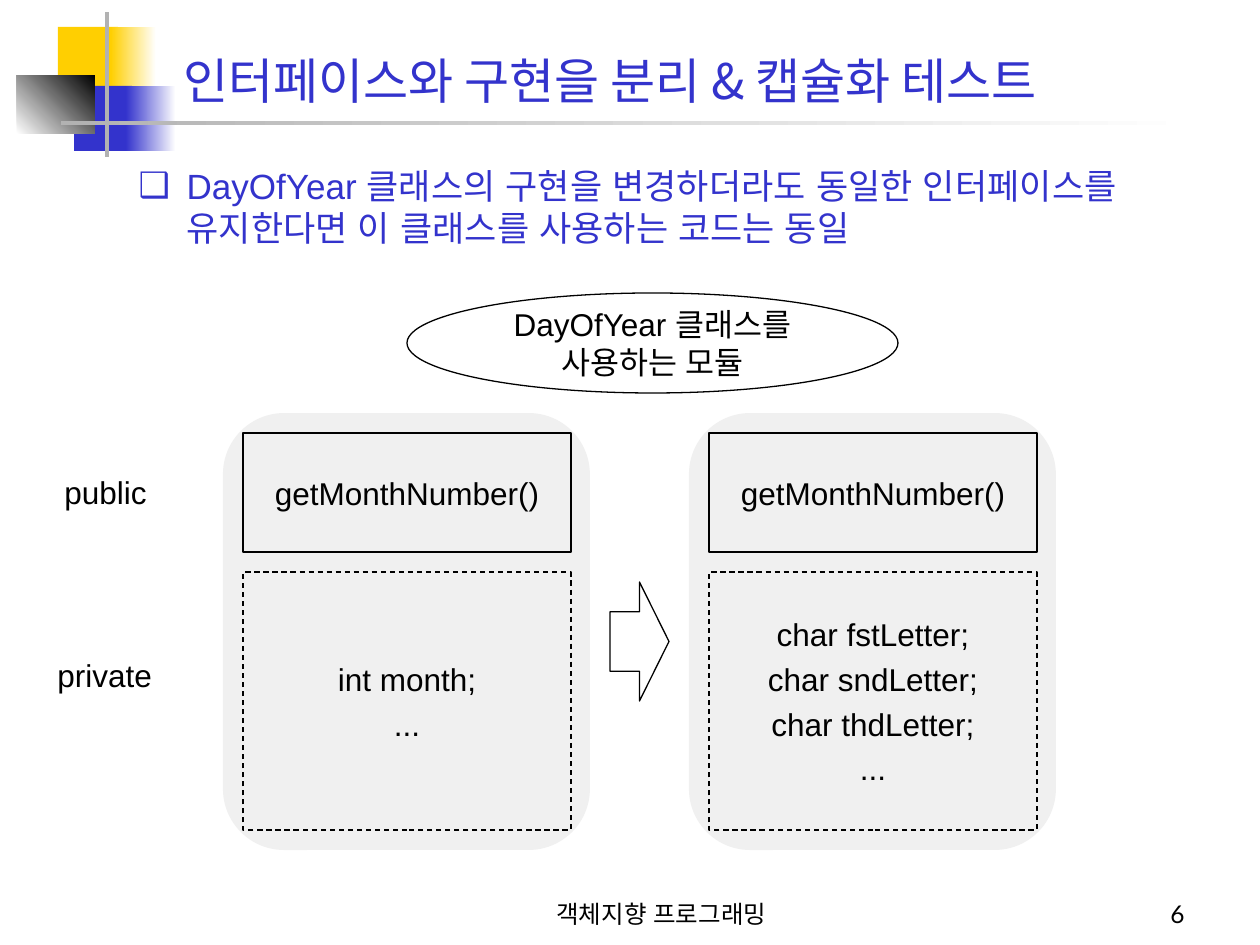
import lxml.etree
import pptx
import pptx.dml.color
import pptx.enum.dml
import pptx.enum.shapes
import pptx.enum.text
import pptx.oxml.ns
import pptx.util

EMU_PER_PX = 914400 / 126
COLORS = {
    "yellow": "FFCF01",
    "blue": "3333CC",
    "white": "FFFFFF",
    "black": "000000",
    "grey": "B2B2B2",
    "panel": "F0F0F0",
}
SHAPE = pptx.enum.shapes.MSO_SHAPE
ALIGN = pptx.enum.text.PP_ALIGN
ANCHOR = pptx.enum.text.MSO_ANCHOR
AUTO_SIZE = pptx.enum.text.MSO_AUTO_SIZE
DASH = pptx.enum.dml.MSO_LINE.DASH


def px(*lengths):
    """Turn pixel lengths into a list of EMU lengths."""
    return [pptx.util.Emu(round(length * EMU_PER_PX)) for length in lengths]


def color(name):
    """Look up a named colour."""
    return pptx.dml.color.RGBColor.from_string(COLORS[name])


def write(shape, text, size, font="Arial", tint="black", align=ALIGN.CENTER, anchor=ANCHOR.MIDDLE):
    """Put formatted text into a shape."""
    frame = shape.text_frame
    frame.text = text
    frame.word_wrap = True
    frame.auto_size = AUTO_SIZE.NONE
    frame.vertical_anchor = anchor
    for index, paragraph in enumerate(frame.paragraphs):
        paragraph.alignment = align
        paragraph.space_before = pptx.util.Pt(4 if index else 0)
        for run in paragraph.runs:
            run.font.name = font
            run.font.size = pptx.util.Pt(size)
            run.font.color.rgb = color(tint)
            east_asian = lxml.etree.SubElement(run.font._element, pptx.oxml.ns.qn("a:ea"))
            east_asian.set("typeface", font)


def add_filled(slide, kind, box, start, end=None, angle=0):
    """Add a borderless shape with a plain or gradient fill."""
    shape = slide.shapes.add_shape(kind, *px(*box))
    shape.shadow.inherit = False
    shape.line.fill.background()
    if end:
        shape.fill.gradient()
        shape.fill.gradient_angle = angle
        for stop, name, position in zip(shape.fill.gradient_stops, (start, end), (0, 1)):
            stop.color.rgb = color(name)
            stop.position = position
    else:
        shape.fill.solid()
        shape.fill.fore_color.rgb = color(start)


def add_outlined(slide, kind, box, text="", dash=None):
    """Add an unfilled shape with a thin black outline."""
    shape = slide.shapes.add_shape(kind, *px(*box))
    shape.shadow.inherit = False
    shape.fill.background()
    shape.line.color.rgb = color("black")
    shape.line.width = pptx.util.Pt(0.75)
    if dash:
        shape.line.dash_style = dash
    if text:
        write(shape, text, 18)


def add_label(slide, box, text):
    """Add an access label that fits its text."""
    label = slide.shapes.add_textbox(*px(*box))
    write(label, text, 18, align=ALIGN.LEFT, anchor=ANCHOR.TOP)
    label.text_frame.word_wrap = False
    label.text_frame.auto_size = AUTO_SIZE.SHAPE_TO_FIT_TEXT


def add_footer(slide, box, text, align):
    """Add a text at the foot of the slide."""
    footer = slide.shapes.add_textbox(*px(*box))
    write(footer, text, 14, font="Lato", align=align, anchor=ANCHOR.BOTTOM)


def place(shape, box):
    """Move and resize a placeholder."""
    shape.left, shape.top, shape.width, shape.height = px(*box)


def set_bullet(paragraph, symbol, indent, tint):
    """Give a paragraph a coloured hanging bullet."""
    properties = paragraph._p.get_or_add_pPr()
    properties.set("marL", str(indent))
    properties.set("indent", str(-indent))
    qualify = pptx.oxml.ns.qn
    bullet_color = lxml.etree.SubElement(properties, qualify("a:buClr"))
    lxml.etree.SubElement(bullet_color, qualify("a:srgbClr")).set("val", COLORS[tint])
    lxml.etree.SubElement(properties, qualify("a:buFont")).set("typeface", "Arial")
    lxml.etree.SubElement(properties, qualify("a:buChar")).set("char", symbol)


def add_decoration(slide):
    """Draw the coloured blocks and rules beside the title."""
    for box, *fill in (
        ((58, 27, 60, 66), "yellow"),
        ((111, 27, 45, 66), "yellow", "white"),
        ((74, 86, 58, 65), "blue"),
        ((126, 86, 50, 65), "blue", "white"),
        ((17, 75, 78, 59), "white", "black", 45),
        ((105, 12, 4, 145), "grey"),
        ((61, 121, 1134, 4), "grey", "white"),
    ):
        add_filled(slide, SHAPE.RECTANGLE, box, *fill)


def add_class(slide, left, members):
    """Draw a class panel with its public and private parts."""
    add_filled(slide, SHAPE.ROUNDED_RECTANGLE, (left, 413, 367, 437), "panel")
    add_outlined(slide, SHAPE.RECTANGLE, (left + 20, 433, 328, 119), "getMonthNumber()")
    add_outlined(slide, SHAPE.RECTANGLE, (left + 20, 572, 328, 258), members, DASH)


def main():
    """Build the slide and save it."""
    presentation = pptx.Presentation()
    presentation.slide_width, presentation.slide_height = px(1260, 945)
    slide = presentation.slides.add_slide(presentation.slide_layouts[1])

    title, body = slide.placeholders
    place(title, (171, 23, 1074, 93))
    write(title, "인터페이스와 구현을 분리 & 캡슐화 테스트", 28, "Noto Sans CJK KR", "blue",
          ALIGN.LEFT, ANCHOR.BOTTOM)
    place(body, (126, 158, 1108, 688))
    write(body, "DayOfYear 클래스의 구현을 변경하더라도 동일한 인터페이스를 "
          "유지한다면 이 클래스를 사용하는 코드는 동일", 20, "Arial", "blue",
          ALIGN.LEFT, ANCHOR.TOP)
    set_bullet(body.text_frame.paragraphs[0], "❑", px(48)[0], "blue")

    add_decoration(slide)
    add_outlined(slide, SHAPE.OVAL, (407, 293, 491, 100), "DayOfYear 클래스를 사용하는 모듈")
    add_class(slide, 223, "int month;\n...")
    add_class(slide, 689, "char fstLetter;\nchar sndLetter;\nchar thdLetter;\n...")
    add_outlined(slide, SHAPE.RIGHT_ARROW, (610, 582, 59, 119))
    add_label(slide, (52, 467, 108, 50), "public")
    add_label(slide, (45, 650, 121, 50), "private")
    add_footer(slide, (462, 872, 399, 63), "객체지향 프로그래밍", ALIGN.CENTER)
    add_footer(slide, (935, 872, 262, 63), "6", ALIGN.RIGHT)

    presentation.save("out.pptx")


if __name__ == "__main__":
    main()
